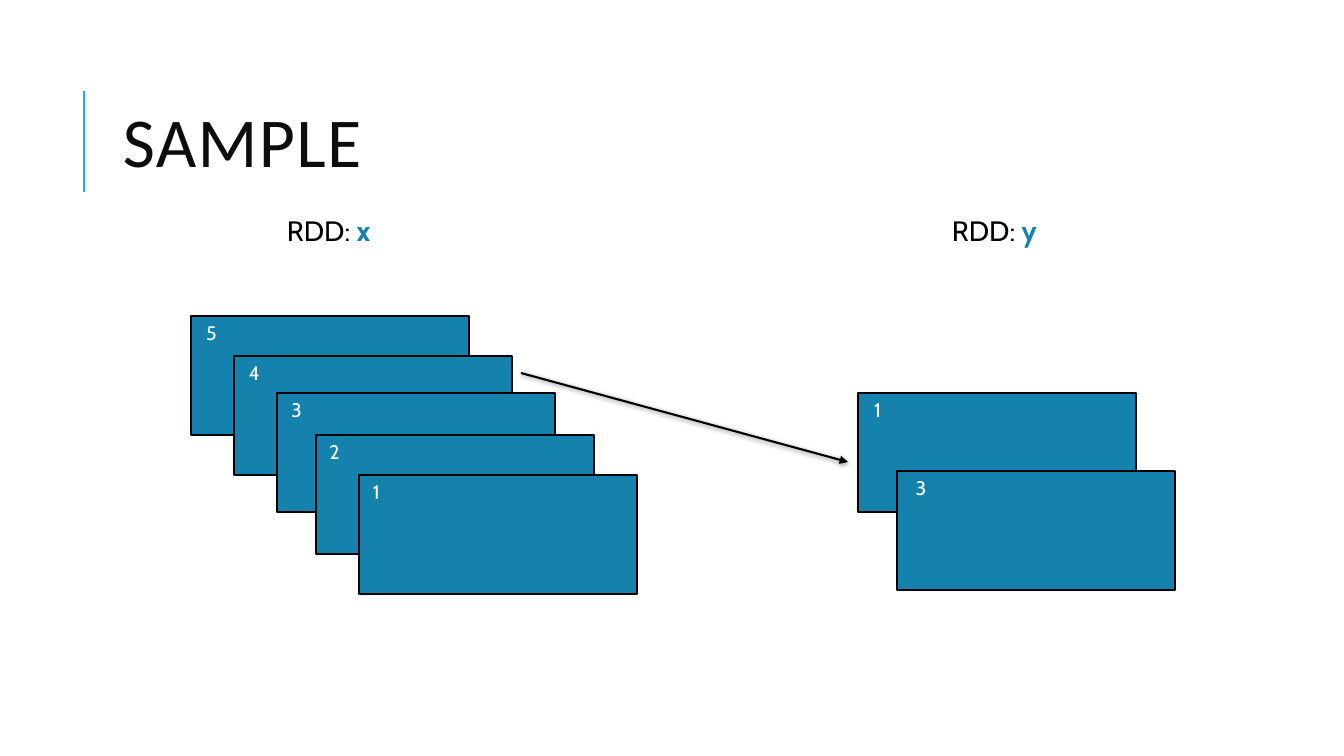
"""Build the SAMPLE slide: five cards of RDD x and two sampled cards of RDD y."""
from lxml import etree
from pptx import Presentation
from pptx.dml.color import RGBColor
from pptx.enum.shapes import MSO_CONNECTOR as CONN, MSO_SHAPE as SHAPE
from pptx.enum.text import MSO_ANCHOR as ANCHOR, MSO_AUTO_SIZE as AUTO, PP_ALIGN as ALIGN
from pptx.oxml.ns import qn
from pptx.util import Emu, Pt

PX = 914400 / 100.8
COLORS = {"black": "000000", "ink": "0D0D0D", "white": "FFFFFF",
          "card": "1482AC", "rule": "1CADE4"}

prs = Presentation()
prs.slide_width, prs.slide_height = Emu(round(1344 * PX)), Emu(round(756 * PX))
s = prs.slides.add_slide(prs.slide_layouts[6])


def box(*lengths):
    return [Emu(round(v * PX)) for v in lengths]


def add_text(runs, at, size, font="Cabin", align=ALIGN.LEFT, anchor=ANCHOR.TOP,
             auto=AUTO.SHAPE_TO_FIT_TEXT, line_spacing=None, spc=None):
    tf = s.shapes.add_textbox(*box(*at)).text_frame
    tf.word_wrap, tf.auto_size, tf.vertical_anchor = True, auto, anchor
    p = tf.paragraphs[0]
    p.alignment, p.line_spacing = align, line_spacing
    for text, color, bold in runs:
        r = p.add_run()
        r.text = text
        r.font.name, r.font.size, r.font.bold = font, Pt(size), bold
        r.font.color.rgb = RGBColor.from_string(COLORS[color])
        if spc:
            r.font._element.set("spc", str(spc))


def add_line(start, end, color):
    cx = s.shapes.add_connector(CONN.STRAIGHT, *box(*start, *end))
    cx.line.color.rgb = RGBColor.from_string(COLORS[color])
    cx.line.width = Pt(1.5)
    return cx, etree.SubElement(cx._element.spPr, qn("a:effectLst"))


add_line((84, 192), (84, 91), "rule")
add_text([("SAMPLE", "ink", False)], (113, 65, 1072, 165), 50, font="Calibri",
         anchor=ANCHOR.MIDDLE, auto=AUTO.NONE, line_spacing=0.8, spc=100)

for name, left in (("x", 277), ("y", 942)):
    add_text([("RDD: ", "black", False), (name, "card", True)], (left, 209, 156, 44), 20)

arrow, effects = add_line((521, 373), (848, 462), "black")
etree.SubElement(arrow.line._get_or_add_ln(), qn("a:tailEnd"), type="triangle")
shadow = etree.SubElement(effects, qn("a:outerShdw"), blurRad=str(Pt(4)), dist=str(Pt(1)),
                          dir="5400000", rotWithShape="0")
tint = etree.SubElement(shadow, qn("a:srgbClr"), val=COLORS["black"])
etree.SubElement(tint, qn("a:alpha"), val="50000")

cards = [
    ("1", 858, 393, 832, 91),
    ("3", 897, 471, 862, 118),
    ("5", 191, 316, 195, 33),
    ("4", 234, 356, 238, 33),
    ("3", 277, 393, 280, 33),
    ("2", 316, 435, 318, 33),
    ("1", 359, 475, 360, 33),
]
for number, left, top, label_left, label_width in cards:
    sp = s.shapes.add_shape(SHAPE.RECTANGLE, *box(left, top, 278, 119))
    sp.shadow.inherit = False
    sp.fill.solid()
    sp.fill.fore_color.rgb = RGBColor.from_string(COLORS["card"])
    sp.line.color.rgb = RGBColor.from_string(COLORS["black"])
    sp.line.width = Pt(1.5)
    add_text([(number, "white", False)], (label_left, top, label_width, 34), 14,
             align=ALIGN.CENTER)

prs.save("out.pptx")
